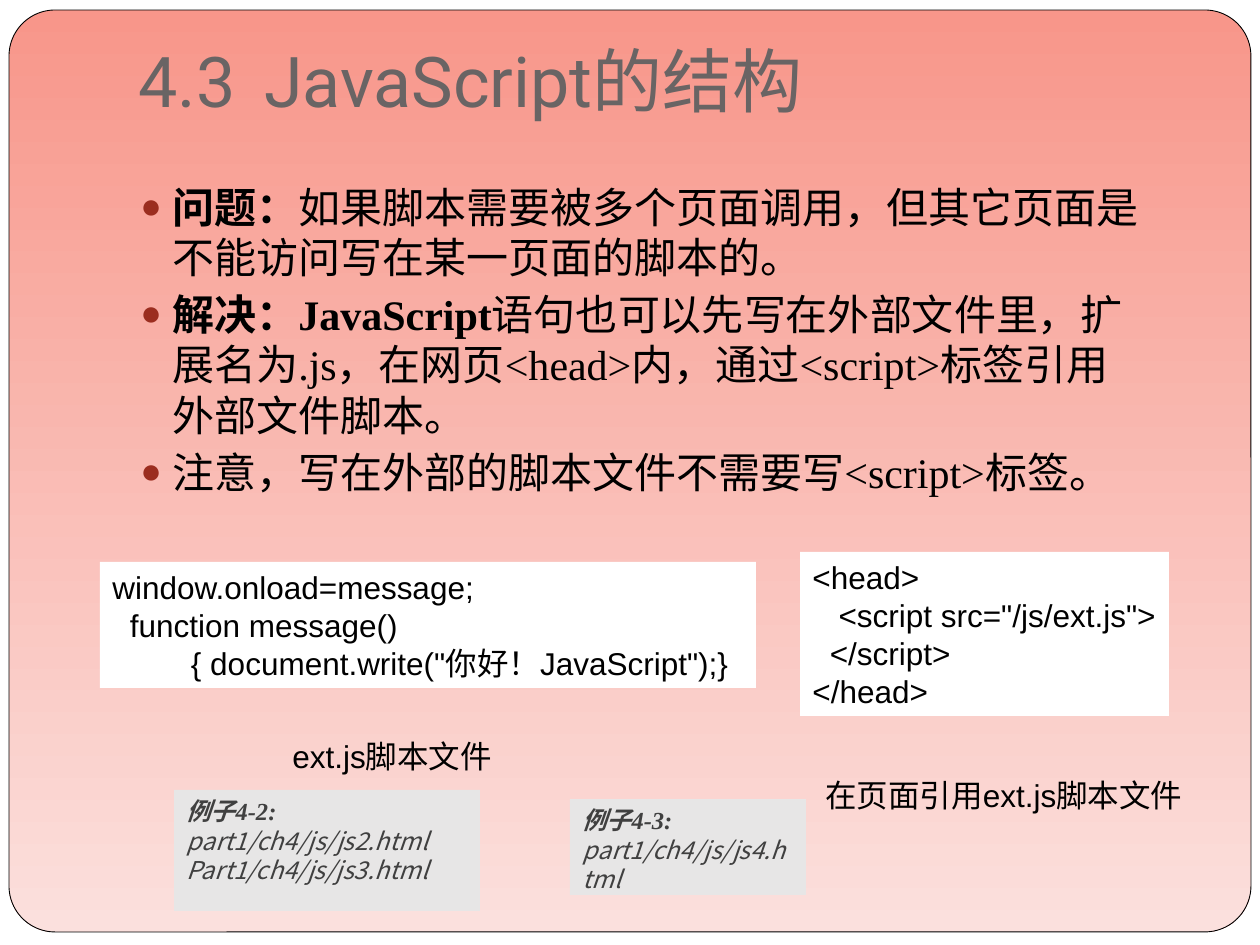
from lxml import etree
from pptx import Presentation
from pptx.dml.color import RGBColor
from pptx.enum.shapes import MSO_SHAPE
from pptx.enum.text import MSO_ANCHOR, MSO_AUTO_SIZE, PP_ALIGN
from pptx.oxml.ns import qn
from pptx.util import Emu, Pt

RECTANGLE = MSO_SHAPE.RECTANGLE
ROUNDED = MSO_SHAPE.ROUNDED_RECTANGLE
TOP, BOTTOM = MSO_ANCHOR.TOP, MSO_ANCHOR.BOTTOM
GROW = MSO_AUTO_SIZE.SHAPE_TO_FIT_TEXT
LEFT = PP_ALIGN.LEFT

BLACK, WHITE, GREY, RUST = "000000", "FFFFFF", "E7E6E6", "9B2D1F"
SANS, SERIF, CJK = "Arial", "Times New Roman", "Noto Sans CJK SC"

POINTS = [
    [("问题：", SANS, True),
     ("如果脚本需要被多个页面调用，但其它页面是不能访问写在某一页面的脚本的。", SANS, False)],
    [("解决：", SANS, True), ("JavaScript", SERIF, True),
     ("语句也可以先写在外部文件里，扩展名为", SANS, False), (".js", SERIF, False),
     ("，在网页", SANS, False), ("<head>", SERIF, False),
     ("内，通过", SANS, False), ("<script>", SERIF, False),
     ("标签引用外部文件脚本。", SANS, False)],
    [("注意，写在外部的脚本文件不需要写", SANS, False), ("<script>", SERIF, False),
     ("标签。", SANS, False)],
]
SCRIPT_CODE = [
    "window.onload=message;",
    "  function message()",
    '         { document.write("你好！JavaScript");}',
]
PAGE_CODE = ["<head>", '   <script src="/js/ext.js">', "  </script>", "</head>"]


def px(length):
    return Emu(round(length * 914400 / 126))


def colour(value):
    return RGBColor.from_string(value)


def fill_solid(holder, value):
    holder.fill.solid()
    holder.fill.fore_color.rgb = colour(value)


def style(font, size, text_colour, name=None):
    font.size = Pt(size)
    font.color.rgb = colour(text_colour)
    if name:
        font.name = name


def add_panel(slide, box, outline):
    panel = slide.shapes.add_shape(outline, *map(px, box))
    panel.shadow.inherit = False
    panel.line.fill.background()
    return panel


def set_frame(holder, wrap, anchor=TOP):
    frame = holder.text_frame
    frame.word_wrap = wrap
    frame.vertical_anchor = anchor
    if not wrap:
        frame.auto_size = GROW
    return frame


def add_paragraphs(frame, count):
    return [frame.paragraphs[0]] + [frame.add_paragraph() for _ in range(count - 1)]


def add_runs(paragraph, runs):
    for text, name, bold in runs:
        run = paragraph.add_run()
        run.text = text
        run.font.name = name
        run.font.bold = bold


def write_lines(frame, lines, size, name, text_colour=BLACK):
    for paragraph, line in zip(add_paragraphs(frame, len(lines)), lines):
        paragraph.alignment = LEFT
        paragraph.text = line
        style(paragraph.font, size, text_colour, name)


def add_backdrop(slide):
    backdrop = add_panel(slide, (9, 10, 1242, 922), ROUNDED)
    backdrop.adjustments[0] = 0.05
    backdrop.fill.gradient()
    backdrop.fill.gradient_angle = 270
    for stop, shade in zip(backdrop.fill.gradient_stops, ("F8968A", "FBE0DD")):
        stop.color.rgb = colour(shade)
    backdrop.line.color.rgb = colour(BLACK)
    backdrop.line.width = Pt(0.5)


def add_title(slide, box, title):
    frame = set_frame(slide.shapes.add_textbox(*map(px, box)), True, BOTTOM)
    frame.margin_bottom = px(13)
    write_lines(frame, [title], 40, "Roboto", "696464")


def add_bullet(paragraph):
    properties = paragraph._p.get_or_add_pPr()
    properties.set("marL", str(px(76)))
    properties.set("indent", str(-px(32)))
    shade = etree.SubElement(properties, qn("a:buClr"))
    etree.SubElement(shade, qn("a:srgbClr"), val=RUST)
    etree.SubElement(properties, qn("a:buSzPct"), val="85000")
    etree.SubElement(properties, qn("a:buFont"), typeface=SANS)
    etree.SubElement(properties, qn("a:buChar"), char="●")


def add_points(slide, box, points):
    frame = set_frame(slide.shapes.add_textbox(*map(px, box)), True)
    for index, (paragraph, runs) in enumerate(zip(add_paragraphs(frame, len(points)), points)):
        add_bullet(paragraph)
        if index:
            paragraph.space_before = Pt(3.7)
        style(paragraph.font, 24, BLACK)
        add_runs(paragraph, runs)


def add_unwrapped(slide, box, lines, fill=None):
    holder = slide.shapes.add_textbox(*map(px, box))
    if fill:
        fill_solid(holder, fill)
    write_lines(set_frame(holder, False), lines, 18, SANS)


def add_example(slide, box, label, files):
    panel = add_panel(slide, box, RECTANGLE)
    fill_solid(panel, GREY)
    frame = set_frame(panel, True)
    for index, (paragraph, file) in enumerate(zip(add_paragraphs(frame, len(files)), files)):
        paragraph.alignment = LEFT
        style(paragraph.font, 14, "404040")
        paragraph.font.italic = True
        heading = [] if index else [(label, SERIF, True)]
        add_runs(paragraph, heading + [(file, CJK, False)])


def main():
    deck = Presentation()
    deck.slide_width, deck.slide_height = px(1260), px(945)
    slide = deck.slides.add_slide(deck.slide_layouts[6])
    add_backdrop(slide)
    add_title(slide, (126, 38, 1071, 97), "4.3\tJavaScript的结构")
    add_points(slide, (84, 175, 1071, 694), POINTS)
    add_unwrapped(slide, (813, 770, 397, 50), ["在页面引用ext.js脚本文件"])
    add_unwrapped(slide, (100, 562, 656, 126), SCRIPT_CODE, WHITE)
    add_unwrapped(slide, (800, 552, 369, 164), PAGE_CODE, WHITE)
    add_unwrapped(slide, (280, 731, 232, 50), ["ext.js脚本文件"])
    add_example(slide, (174, 790, 306, 121), "例子4-2: ",
                ["part1/ch4/js/js2.html", "Part1/ch4/js/js3.html"])
    add_example(slide, (570, 799, 236, 96), "例子4-3: ", ["part1/ch4/js/js4.html"])
    deck.save("out.pptx")


if __name__ == "__main__":
    main()
